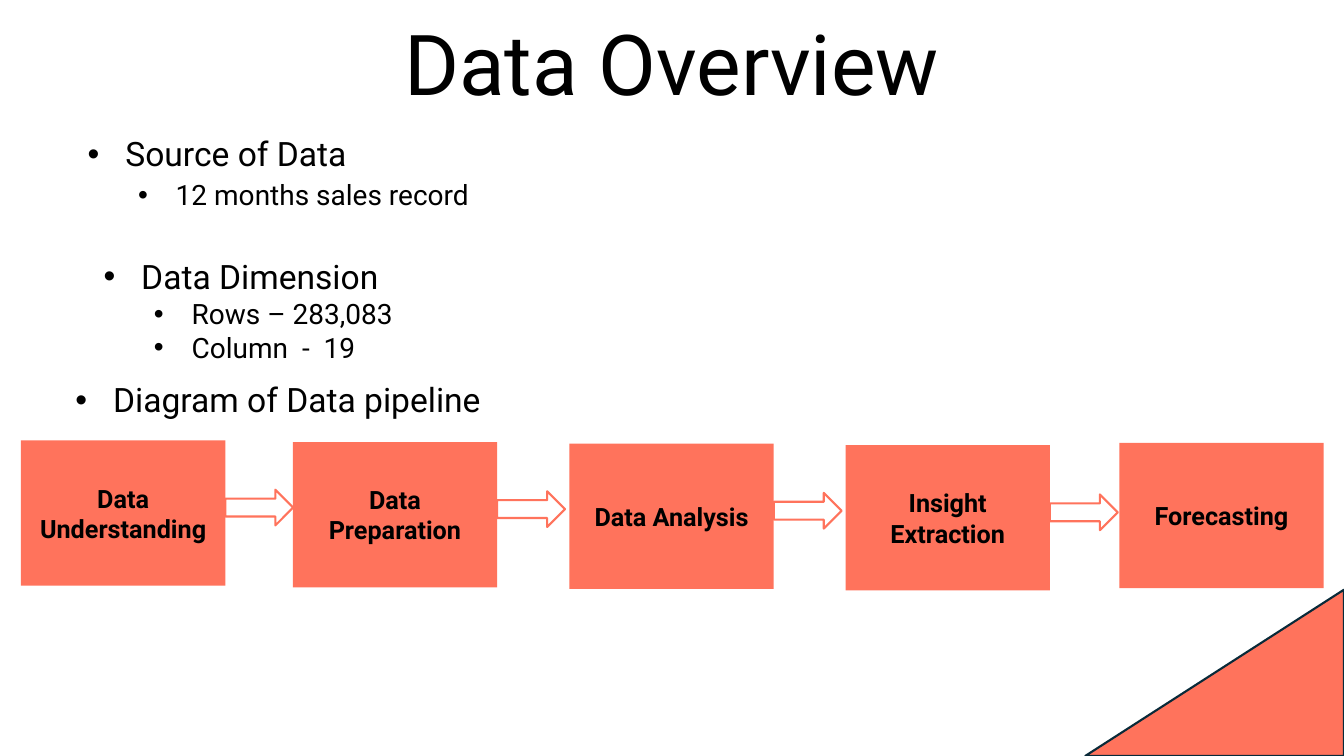
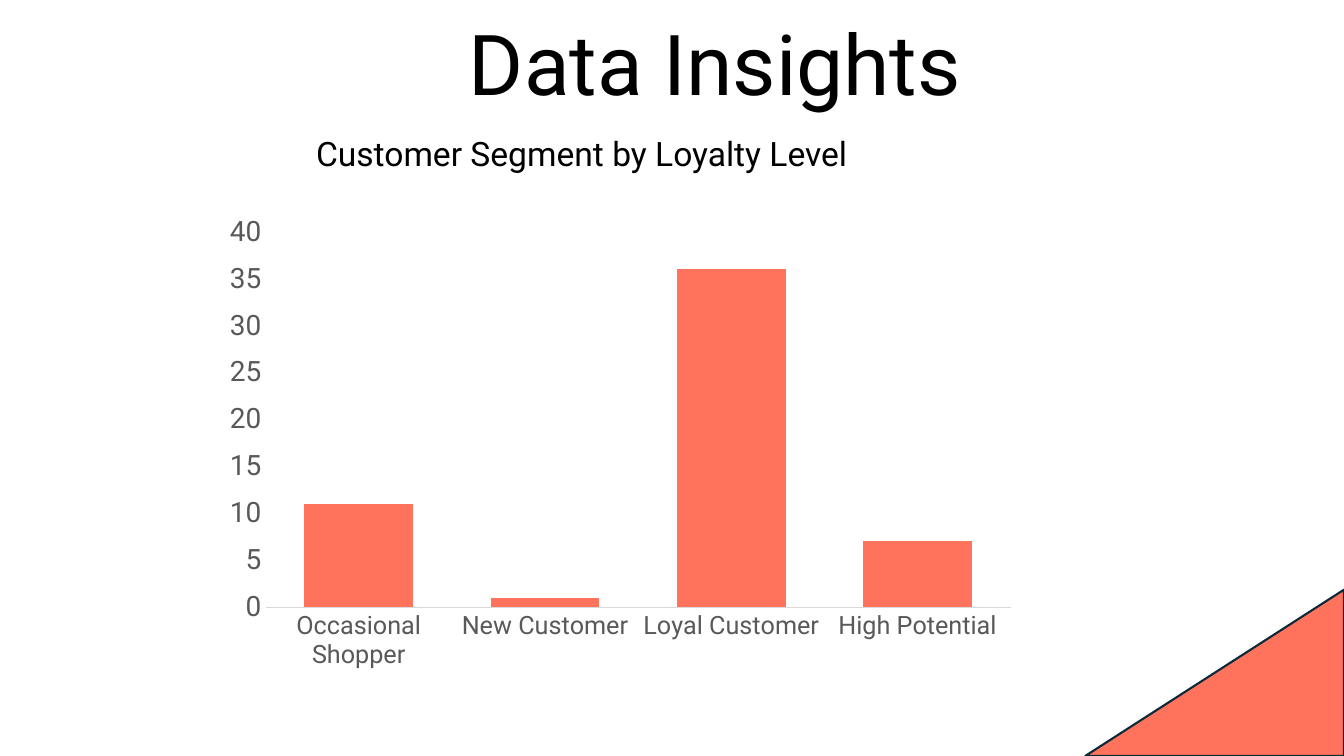
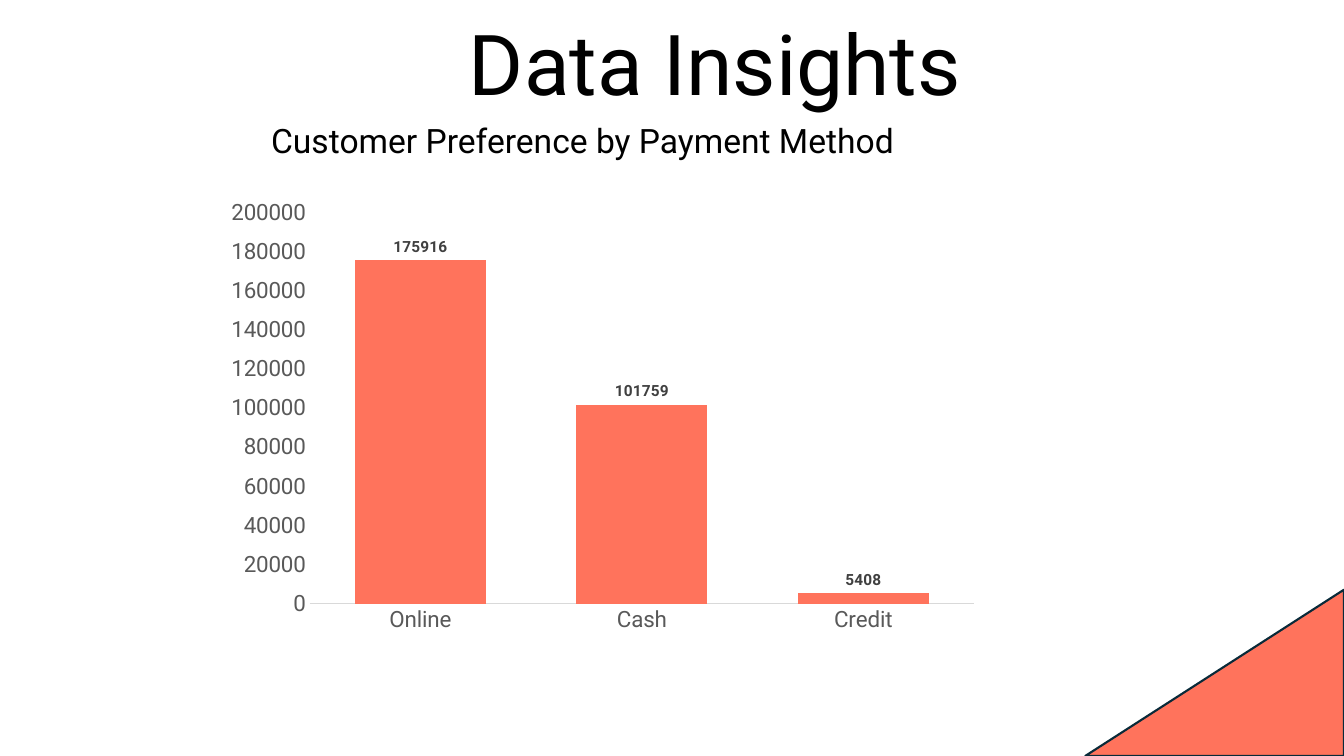
from pptx import Presentation
from pptx.chart.data import CategoryChartData
from pptx.dml.color import RGBColor
from pptx.enum.chart import XL_CHART_TYPE, XL_LABEL_POSITION, XL_TICK_MARK
from pptx.enum.shapes import MSO_SHAPE
from pptx.enum.text import MSO_ANCHOR, PP_ALIGN
from pptx.oxml.ns import qn
from pptx.util import Cm, Pt
from lxml.etree import SubElement

COLORS = {
    "coral": "FF735C",
    "navy": "092A39",
    "text": "000000",
    "axis_text": "595959",
    "axis_line": "D9D9D9",
    "label": "404040",
}
RGB = {name: RGBColor.from_string(value) for name, value in COLORS.items()}
FONT = "Roboto"
HANGING = 0.95
BULLET_INDENTS = [0.95, 2.22]
BULLET_SIZES = [24, 20]
BULLET_SPACES = [10, 5]


def set_font(font, size, color="text", bold=False):
    font.name = FONT
    font.size = Pt(size)
    font.bold = bold
    font.color.rgb = RGB[color]


def add_text(slide, box, lines, size=None, spacing=0.9, before=0, anchor=MSO_ANCHOR.TOP):
    frame = slide.shapes.add_textbox(*map(Cm, box)).text_frame
    frame.word_wrap = True
    frame.vertical_anchor = anchor
    for index, (level, text) in enumerate(lines):
        paragraph = frame.paragraphs[0] if index == 0 else frame.add_paragraph()
        paragraph.text = text
        paragraph.line_spacing = spacing
        if size:
            paragraph.alignment = PP_ALIGN.CENTER
            paragraph.space_before = Pt(before)
            set_font(paragraph.font, size)
            continue
        paragraph.level = level
        paragraph.space_before = Pt(BULLET_SPACES[level])
        set_font(paragraph.font, BULLET_SIZES[level])
        properties = paragraph._p.get_or_add_pPr()
        properties.set("marL", str(Cm(BULLET_INDENTS[level])))
        properties.set("indent", str(-Cm(HANGING)))
        bullet_font = SubElement(properties, qn("a:buFont"))
        bullet_font.set("typeface", "Arial")
        SubElement(properties, qn("a:buChar")).set("char", "•")
        properties.append(properties.find(qn("a:defRPr")))


presentation = Presentation()
presentation.slide_width = Cm(33.87)
presentation.slide_height = Cm(19.05)

slides = []
for title, title_width in [("Data Overview", 25.4), ("Data Insights", 27.58), ("Data Insights", 27.58)]:
    slide = presentation.slides.add_slide(presentation.slide_layouts[6])
    corner = slide.shapes.add_shape(
        MSO_SHAPE.ISOSCELES_TRIANGLE, Cm(27.35), Cm(14.86), Cm(6.52), Cm(4.19))
    corner.adjustments[0] = 1
    corner.shadow.inherit = False
    corner.fill.solid()
    corner.fill.fore_color.rgb = RGB["coral"]
    corner.line.color.rgb = RGB["navy"]
    corner.line.width = Pt(1.5)
    add_text(slide, (4.23, 0, title_width, 3), [(0, title)], size=60, anchor=MSO_ANCHOR.BOTTOM)
    slides.append(slide)

overview, *insights = slides

add_text(overview, (1.96, 3.35, 25.4, 2.18),
         [(0, "Source of Data"), (1, "12 months sales record")])
add_text(overview, (1.65, 9.55, 25.4, 1.65), [(0, "Diagram of Data pipeline")])
add_text(overview, (2.36, 6.53, 25.4, 3),
         [(0, "Data Dimension"), (1, "Rows – 283,083"), (1, "Column  -  19")], spacing=0.8)

STEP_WIDTH, STEP_HEIGHT = 5.15, 3.66
pipeline = [
    ("Data Understanding", 0.53, 11.1),
    ("Data Preparation", 7.38, 11.14),
    ("Data Analysis", 14.35, 11.18),
    ("Insight Extraction", 21.31, 11.22),
    ("Forecasting", 28.21, 11.16),
]
for number, (name, left, top) in enumerate(pipeline, start=1):
    step = overview.shapes.add_shape(
        MSO_SHAPE.RECTANGLE, Cm(left), Cm(top), Cm(STEP_WIDTH), Cm(STEP_HEIGHT))
    step.shadow.inherit = False
    step.fill.solid()
    step.fill.fore_color.rgb = RGB["coral"]
    step.line.fill.background()
    step.text_frame.word_wrap = True
    step.text_frame.vertical_anchor = MSO_ANCHOR.MIDDLE
    label = step.text_frame.paragraphs[0]
    label.text = name
    label.alignment = PP_ALIGN.CENTER
    set_font(label.font, 18, bold=True)
    if number < len(pipeline):
        arrow = overview.shapes.add_shape(
            MSO_SHAPE.RIGHT_ARROW, Cm(left + STEP_WIDTH), Cm(top + 1.24), Cm(1.71), Cm(0.9))
        arrow.shadow.inherit = False
        arrow.fill.background()
        arrow.line.color.rgb = RGB["coral"]
        arrow.line.width = Pt(1.5)

charts = [
    {
        "heading": "Customer Segment by Loyalty Level",
        "heading_box": (1.96, 3.35, 25.4, 1.83),
        "box": (5.38, 5.18, 20.5, 11.94),
        "data": {"Occasional Shopper": 11, "New Customer": 1,
                 "Loyal Customer": 36, "High Potential": 7},
        "sizes": (18, 20), "gap": 71, "overlap": 2,
        "maximum": 40, "unit": 5, "labels": False,
    },
    {
        "heading": "Customer Preference by Payment Method",
        "heading_box": (1.98, 3, 25.4, 1.83),
        "box": (5.44, 4.83, 19.5, 11.35),
        "data": {"Online": 175916, "Cash": 101759, "Credit": 5408},
        "sizes": (16, 16), "gap": 69, "overlap": -27,
        "maximum": 200000, "unit": 20000, "labels": True,
    },
]
for slide, content in zip(insights, charts):
    add_text(slide, content["heading_box"], [(0, content["heading"])], size=24, before=10)
    data = CategoryChartData()
    data.categories = list(content["data"])
    data.add_series("Series 1", list(content["data"].values()))
    chart = slide.shapes.add_chart(
        XL_CHART_TYPE.COLUMN_CLUSTERED, *map(Cm, content["box"]), data).chart
    chart.has_title = False
    chart.has_legend = False
    set_font(chart.font, 10)

    for axis, size in zip((chart.category_axis, chart.value_axis), content["sizes"]):
        axis.has_major_gridlines = False
        axis.major_tick_mark = XL_TICK_MARK.NONE
        axis.minor_tick_mark = XL_TICK_MARK.NONE
        set_font(axis.tick_labels.font, size, "axis_text")
    chart.category_axis.format.line.color.rgb = RGB["axis_line"]
    chart.category_axis.format.line.width = Pt(0.75)
    chart.value_axis.format.line.fill.background()
    chart.value_axis.minimum_scale = 0
    chart.value_axis.maximum_scale = content["maximum"]
    chart.value_axis.major_unit = content["unit"]

    plot = chart.plots[0]
    plot.vary_by_categories = False
    plot.gap_width = content["gap"]
    plot.overlap = content["overlap"]
    columns = plot.series[0]
    columns.format.fill.solid()
    columns.format.fill.fore_color.rgb = RGB["coral"]
    if content["labels"]:
        columns.data_labels.show_value = True
        columns.data_labels.position = XL_LABEL_POSITION.OUTSIDE_END
        set_font(columns.data_labels.font, 11, "label", bold=True)

presentation.save("out.pptx")
